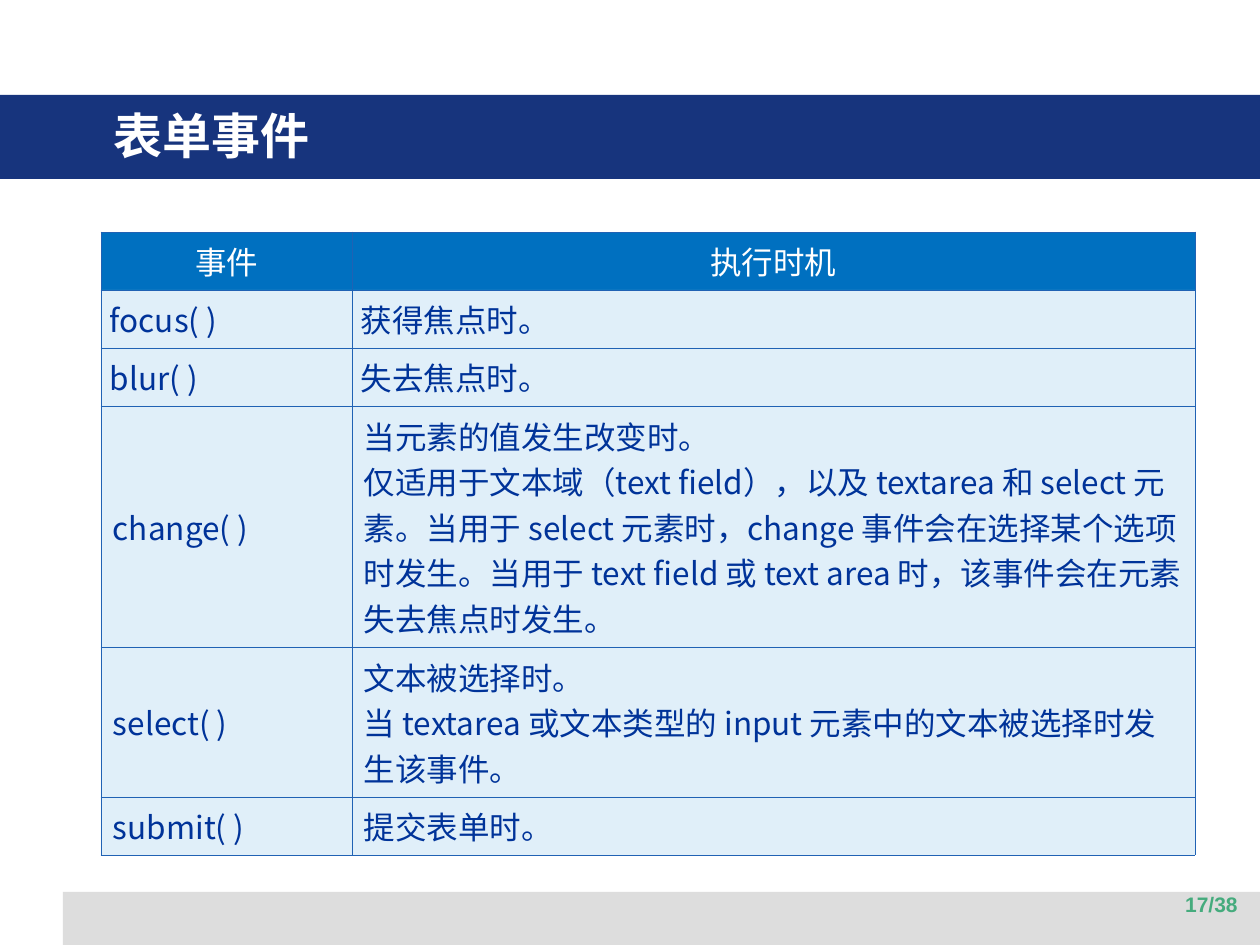
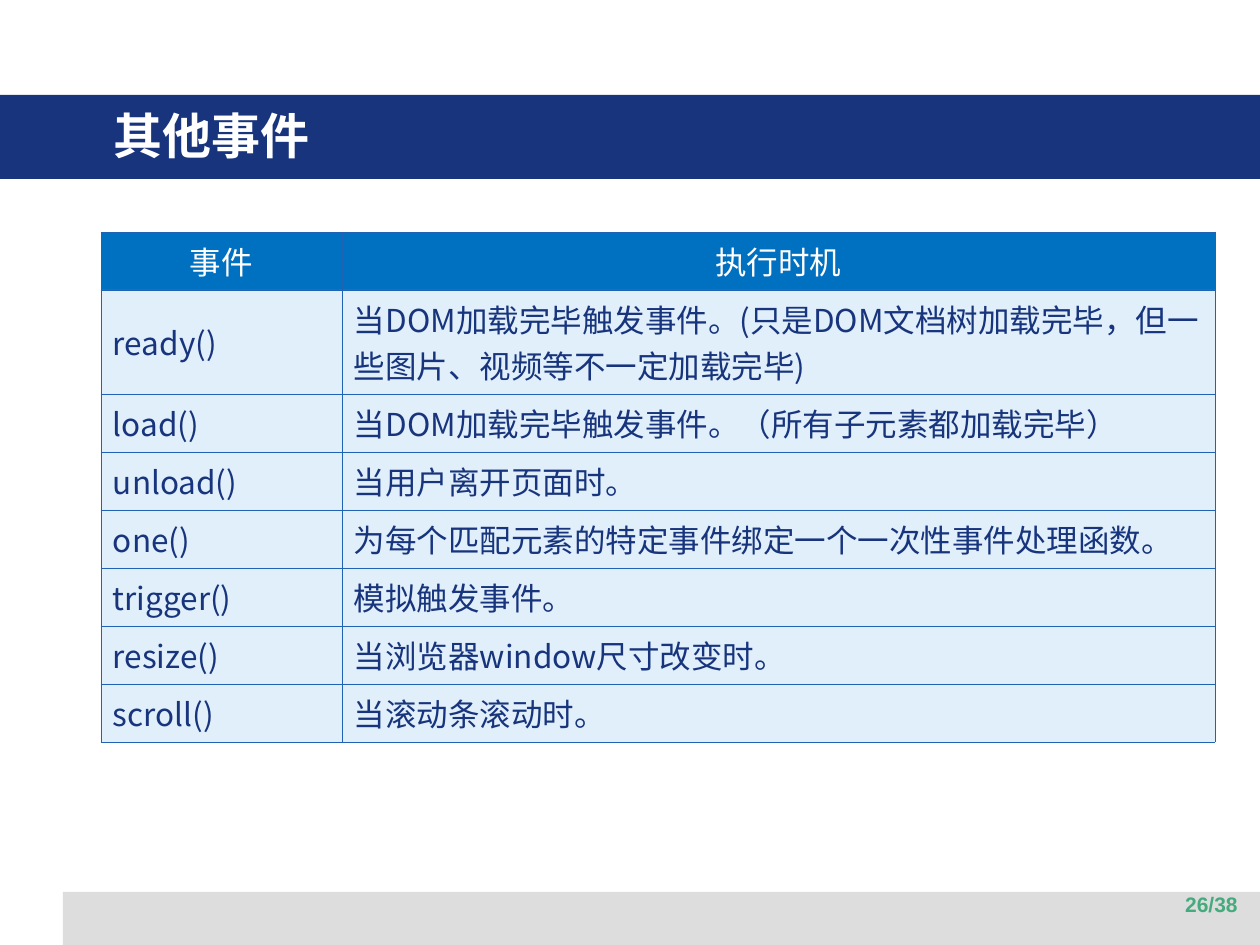
"""Build two slides that list form events and other events in tables."""
from lxml.etree import SubElement
from pptx import Presentation
from pptx.dml.color import RGBColor
from pptx.enum.shapes import MSO_SHAPE
from pptx.enum.text import MSO_ANCHOR, PP_ALIGN
from pptx.oxml.ns import qn
from pptx.util import Emu, Pt

NAVY = RGBColor(0x17, 0x34, 0x7D)
ROYAL = RGBColor(0x00, 0x33, 0x99)
HEADER_BLUE = RGBColor(0x00, 0x70, 0xC0)
PALE_BLUE = RGBColor(0xC3, 0xE0, 0xF5)
BORDER_BLUE = RGBColor(0x20, 0x62, 0xB4)
GREY = RGBColor(0xDD, 0xDD, 0xDD)
GREEN = RGBColor(0x45, 0xAB, 0x7D)
WHITE = RGBColor(0xFF, 0xFF, 0xFF)
CJK = "Noto Sans CJK SC"

HEADINGS = ("事件", "执行时机")
TOPICS = [
    {
        "title": "表单事件",
        "page": "17/38",
        "ink": ROYAL,
        "columns": (251, 843),
        "top_rows": (1, 2),
        "events": [
            ("focus( )", "获得焦点时。"),
            ("blur( )", "失去焦点时。"),
            ("change( )", "当元素的值发生改变时。\n仅适用于文本域（text field），以及 textarea 和 select 元素。"
             "当用于 select 元素时，change 事件会在选择某个选项时发生。"
             "当用于 text field 或 text area 时，该事件会在元素失去焦点时发生。"),
            ("select( )", "文本被选择时。\n当 textarea 或文本类型的 input 元素中的文本被选择时发生该事件。"),
            ("submit( )", "提交表单时。"),
        ],
        "tall_rows": {3: 241, 4: 150},
    },
    {
        "title": "其他事件",
        "page": "26/38",
        "ink": NAVY,
        "columns": (241, 873),
        "top_rows": (),
        "events": [
            ("ready()", "当DOM加载完毕触发事件。(只是DOM文档树加载完毕，但一些图片、视频等不一定加载完毕)"),
            ("load()", "当DOM加载完毕触发事件。（所有子元素都加载完毕）"),
            ("unload()", "当用户离开页面时。"),
            ("one()", "为每个匹配元素的特定事件绑定一个一次性事件处理函数。"),
            ("trigger()", "模拟触发事件。"),
            ("resize()", "当浏览器window尺寸改变时。"),
            ("scroll()", "当滚动条滚动时。"),
        ],
        "tall_rows": {1: 104},
    },
]

SLIDE_SIZE = (1260, 945)
BANDS = [((63, 892, 1197, 53), GREY), ((0, 95, 1260, 84), NAVY)]
TITLE_BOX = (101, 73, 1134, 123)
PAGE_BOX = (956, 885, 294, 50)
TABLE_CORNER = (101, 232)
ROW_HEIGHT = 58
SIDE_MARGIN, TOP_ROW_MARGIN, EDGE_MARGIN = 12, 9, 6

TITLE_FONT = {"name": CJK, "size": Pt(28), "bold": True}
PAGE_FONT = {"name": "Arial", "size": Pt(12), "bold": True}
CELL_FONT = {"name": CJK, "size": Pt(18), "bold": False}


def px(length):
    return Emu(round(length * 914400 / 126))


def set_all(target, values):
    for name, value in values.items():
        setattr(target, name, value)


def write(frame, text, font, color, align=PP_ALIGN.LEFT):
    frame.text = text
    for paragraph in frame.paragraphs:
        paragraph.alignment = align
        for run in paragraph.runs:
            set_all(run.font, font)
            run.font.color.rgb = color
            SubElement(run.font._element, qn("a:ea"), typeface=font["name"])


def add_text(slide, box, text, font, color, anchor, align=PP_ALIGN.LEFT):
    frame = slide.shapes.add_textbox(*map(px, box)).text_frame
    set_all(frame, {"word_wrap": True, "vertical_anchor": anchor})
    write(frame, text, font, color, align)


def add_bands(slide):
    for box, color in BANDS:
        band = slide.shapes.add_shape(MSO_SHAPE.RECTANGLE, *map(px, box))
        band.shadow.inherit = False
        band.fill.solid()
        band.fill.fore_color.rgb = color
        band.line.fill.background()


def paint_cell(cell, color, opacity):
    properties = cell._tc.get_or_add_tcPr()
    for side in ("lnL", "lnR", "lnT", "lnB"):
        border = SubElement(properties, qn(f"a:{side}"), w=str(Pt(0.45)))
        solid = SubElement(border, qn("a:solidFill"))
        SubElement(solid, qn("a:srgbClr"), val=str(BORDER_BLUE))
    cell.fill.solid()
    cell.fill.fore_color.rgb = color
    if opacity < 100:
        tint = properties.find(qn("a:solidFill")).find(qn("a:srgbClr"))
        SubElement(tint, qn("a:alpha"), val=str(opacity * 1000))


def add_event_table(slide, topic):
    rows = [HEADINGS, *topic["events"]]
    heights = [topic["tall_rows"].get(i, ROW_HEIGHT) for i in range(len(rows))]
    size = (sum(topic["columns"]), sum(heights))
    table = slide.shapes.add_table(
        len(rows), len(HEADINGS), *map(px, TABLE_CORNER + size)).table
    set_all(table, {"first_row": False, "horz_banding": False})
    for column, width in zip(table.columns, topic["columns"]):
        column.width = px(width)
    for i, (texts, height) in enumerate(zip(rows, heights)):
        table.rows[i].height = px(height)
        at_top = i in topic["top_rows"]
        side = px(TOP_ROW_MARGIN if at_top else SIDE_MARGIN)
        layout = {
            "margin_left": side,
            "margin_right": side,
            "margin_top": px(EDGE_MARGIN),
            "margin_bottom": px(EDGE_MARGIN),
            "vertical_anchor": MSO_ANCHOR.TOP if at_top else MSO_ANCHOR.MIDDLE,
        }
        for cell, text in zip(table.rows[i].cells, texts):
            set_all(cell, layout)
            if i == 0:
                paint_cell(cell, HEADER_BLUE, 100)
                write(cell.text_frame, text, CELL_FONT, WHITE, PP_ALIGN.CENTER)
            else:
                paint_cell(cell, PALE_BLUE, 50)
                write(cell.text_frame, text, CELL_FONT, topic["ink"])


def main():
    deck = Presentation()
    deck.slide_width, deck.slide_height = map(px, SLIDE_SIZE)
    for topic in TOPICS:
        slide = deck.slides.add_slide(deck.slide_layouts[6])
        add_bands(slide)
        add_text(slide, TITLE_BOX, topic["title"], TITLE_FONT, WHITE,
                 MSO_ANCHOR.MIDDLE)
        add_event_table(slide, topic)
        add_text(slide, PAGE_BOX, topic["page"], PAGE_FONT, GREEN,
                 MSO_ANCHOR.TOP, PP_ALIGN.RIGHT)
    deck.save("out.pptx")


if __name__ == "__main__":
    main()
